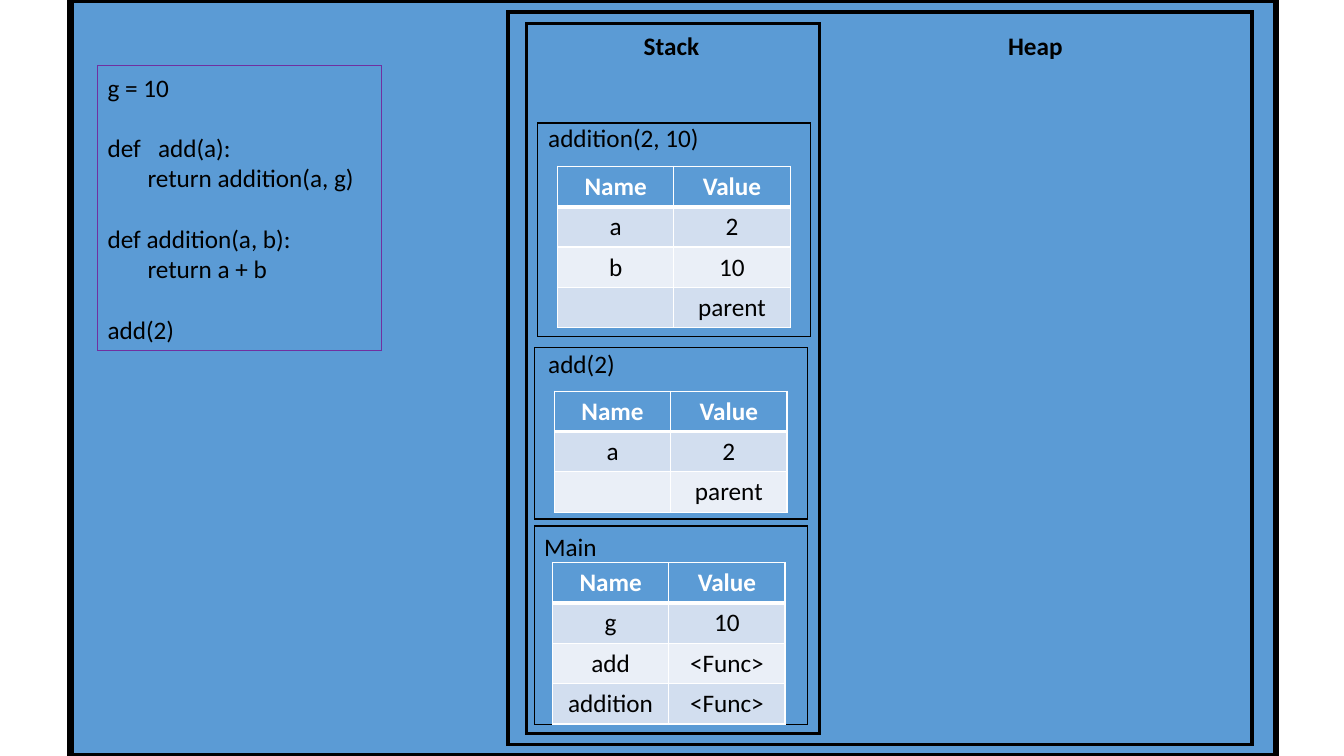
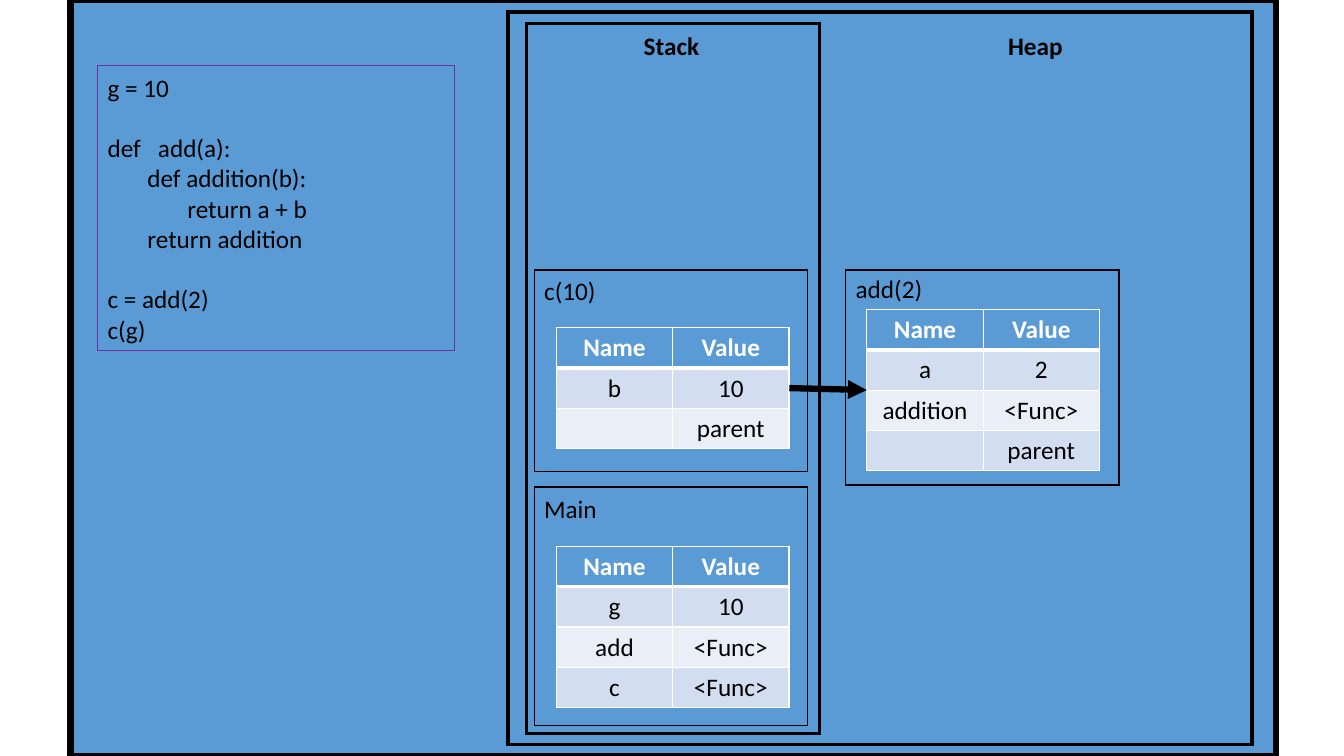
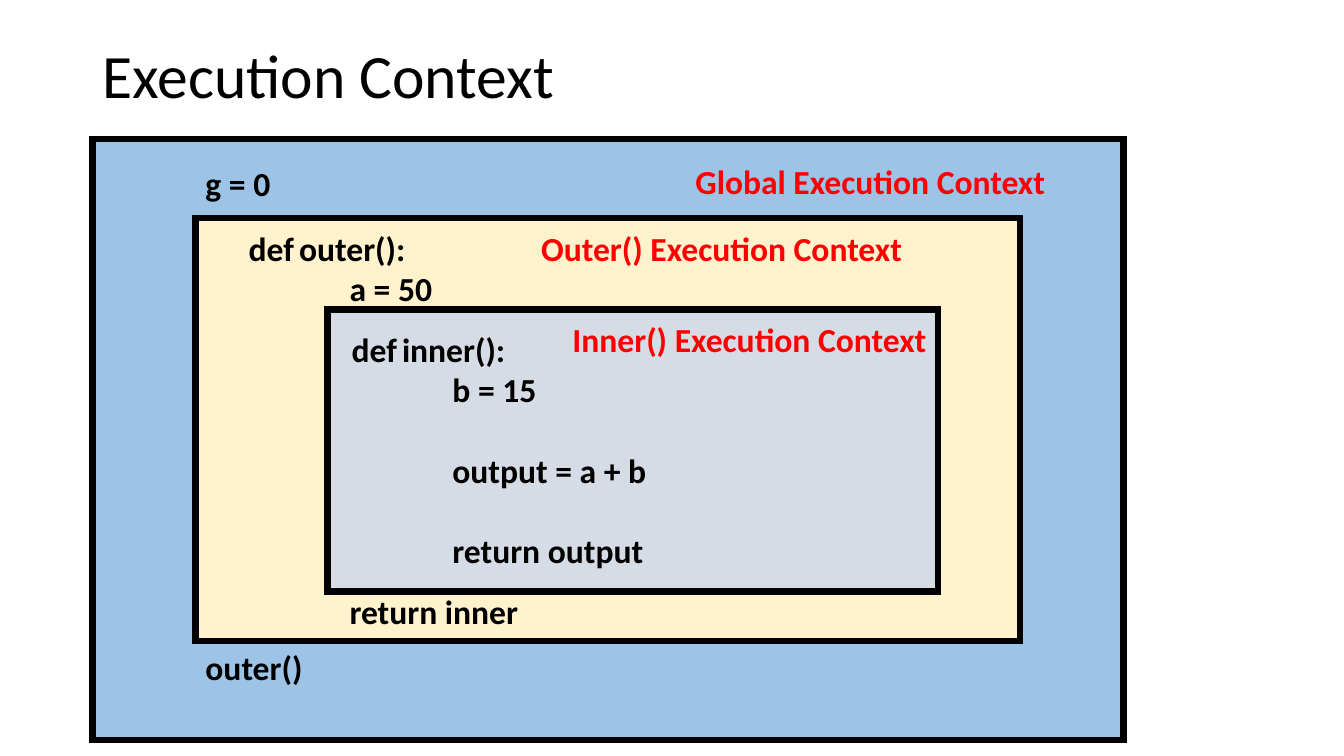
from dataclasses import dataclass

from lxml import etree
from pptx import Presentation
from pptx.dml.color import RGBColor
from pptx.enum.shapes import MSO_CONNECTOR, MSO_SHAPE
from pptx.enum.text import MSO_ANCHOR, MSO_AUTO_SIZE, PP_ALIGN
from pptx.oxml.ns import qn
from pptx.util import Pt


# Theme: colours, type sizes and line widths
@dataclass(frozen=True)
class Theme:
    font: str = "Calibri"
    black: str = "000000"
    white: str = "FFFFFF"
    blue: str = "5B9BD5"
    purple: str = "7030A0"
    red: str = "FF0000"
    bands: tuple = ("D2DEEF", "EAEFF7")
    global_fill: str = "9DC3E6"
    outer_fill: str = "FFF2CC"
    inner_fill: str = "D6DCE5"
    title: int = 44
    large: int = 24
    text: int = 18
    heavy: float = 4.5
    medium: float = 2.25
    thin: float = 1
    hairline: float = 0.75
    leading: float = 1.2


T = Theme()
FRAME_W = 195.1
COLUMN_W, ROW_H = 83.1, 28.8
HEADER = ("Name", "Value")
STACK_X = 381.6


# Text
def rgb(value):
    return RGBColor.from_string(value)


def write(paragraph, text, size=T.text, color=T.black, bold=False):
    run = paragraph.add_run()
    run.text = text
    run.font.name, run.font.size, run.font.bold = T.font, Pt(size), bold
    run.font.color.rgb = rgb(color)


def label(slide, text, x, y, w=134, size=T.text, color=T.black, bold=False,
          align=PP_ALIGN.LEFT):
    box = slide.shapes.add_textbox(Pt(x), Pt(y), Pt(w), Pt(size * T.leading + 7.2))
    box.text_frame.word_wrap = True
    paragraph = box.text_frame.paragraphs[0]
    paragraph.alignment = align
    write(paragraph, text, size, color, bold)


def write_code(frame, lines, size, step, name_stop, bold=False):
    """Each line is (indent level, empty lines above, text)."""
    frame.word_wrap = True
    for number, (level, gap, text) in enumerate(lines):
        paragraph = frame.add_paragraph() if number else frame.paragraphs[0]
        paragraph.alignment = PP_ALIGN.LEFT
        paragraph.space_before = Pt(gap * size * T.leading)
        props = paragraph._p.get_or_add_pPr()
        props.set("marL", str(Pt(level * step)))
        props.set("indent", "0")
        if "\t" in text:
            tabs = etree.SubElement(props, qn("a:tabLst"))
            etree.SubElement(tabs, qn("a:tab"), pos=str(Pt(name_stop)), algn="l")
        write(paragraph, text, size, bold=bold)


def code_text(slide, lines, x, y, w, h):
    box = slide.shapes.add_textbox(Pt(x), Pt(y), Pt(w), Pt(h))
    write_code(box.text_frame, lines, T.large, step=72, name_stop=49, bold=True)


# Shapes
def panel(slide, x, y, w, h, fill=T.blue, line=T.black, width=T.heavy):
    shape = slide.shapes.add_shape(MSO_SHAPE.RECTANGLE, Pt(x), Pt(y), Pt(w), Pt(h))
    shape.shadow.inherit = False
    if fill:
        shape.fill.solid()
        shape.fill.fore_color.rgb = rgb(fill)
    else:
        shape.fill.background()
    shape.line.color.rgb = rgb(line)
    shape.line.width = Pt(width)
    outline = shape._element.spPr.find(qn("a:ln"))
    etree.SubElement(outline, qn("a:miter"), lim="800000")
    return shape


def code_panel(slide, lines, w):
    shape = panel(slide, 69.8, 46.8, w, 203.8, None, T.purple, T.hairline)
    shape.text_frame.vertical_anchor = MSO_ANCHOR.MIDDLE
    write_code(shape.text_frame, lines, T.text, step=28.5, name_stop=32)


def arrow(slide, x1, y1, x2, y2):
    link = slide.shapes.add_connector(MSO_CONNECTOR.STRAIGHT, Pt(x1), Pt(y1), Pt(x2), Pt(y2))
    link.line.color.rgb = rgb(T.black)
    link.line.width = Pt(T.heavy)
    props = link._element.spPr
    etree.SubElement(props.find(qn("a:ln")), qn("a:tailEnd"), type="triangle")
    etree.SubElement(props, qn("a:effectLst"))


# Tables of names and values
def border(cell, side, width):
    line = etree.SubElement(cell._tc.get_or_add_tcPr(), qn("a:ln" + side), w=str(Pt(width)))
    fill = etree.SubElement(line, qn("a:solidFill"))
    etree.SubElement(fill, qn("a:srgbClr"), val=T.white)


def variables(slide, x, y, rows):
    rows = [HEADER, *rows]
    table = slide.shapes.add_table(len(rows), 2, Pt(x), Pt(y), Pt(2 * COLUMN_W),
                                   Pt(ROW_H * len(rows))).table
    for column in table.columns:
        column.width = Pt(COLUMN_W)
    for r, row in enumerate(rows):
        for c, text in enumerate(row):
            cell = table.cell(r, c)
            for side in "LRTB":
                below_header = (r, side) in ((0, "B"), (1, "T"))
                border(cell, side, 3 if below_header else T.thin)
            cell.fill.solid()
            cell.fill.fore_color.rgb = rgb(T.bands[(r - 1) % 2] if r else T.blue)
            paragraph = cell.text_frame.paragraphs[0]
            paragraph.alignment = PP_ALIGN.CENTER
            if text:
                write(paragraph, text, color=T.black if r else T.white, bold=r == 0)


def call_frame(slide, name, x, y, h, name_at, table_at, rows):
    panel(slide, x, y, FRAME_W, h, width=T.thin)
    label(slide, name, *name_at)
    variables(slide, *table_at, rows)


# Slides
def memory_slide(prs, code, code_w):
    slide = prs.slides.add_slide(prs.slide_layouts[6])
    panel(slide, 50.4, 0, 861, 540)
    code_panel(slide, code, code_w)
    panel(slide, 362.9, 8.6, 531.4, 523.4, width=T.medium)
    panel(slide, 375.8, 16.6, 209.5, 507.6, width=T.medium)
    for name, x in (("Stack", 412.6), ("Heap", 672.5)):
        label(slide, name, x, 18, bold=True, align=PP_ALIGN.CENTER)
    return slide


def nested_calls(prs):
    slide = memory_slide(prs, [
        (0, 0, "g = 10"),
        (0, 1, "def\tadd(a):"),
        (1, 0, "return addition(a, g)"),
        (0, 1, "def addition(a, b):"),
        (1, 0, "return a + b"),
        (0, 1, "add(2)"),
    ], 203)
    call_frame(slide, "Main", STACK_X, 375.8, 141.8, (381.6, 375.8), (394.6, 401.8),
               [("g", "10"), ("add", "<Func>"), ("addition", "<Func>")])
    call_frame(slide, "add(2)", STACK_X, 248.4, 122.4, (384.5, 245.5), (396, 279.4),
               [("a", "2"), ("", "parent")])
    call_frame(slide, "addition(2, 10)", 383.8, 87.8, 152.6, (384.5, 84.2), (398.2, 118.8),
               [("a", "2"), ("b", "10"), ("", "parent")])


def closure(prs):
    slide = memory_slide(prs, [
        (0, 0, "g = 10"),
        (0, 1, "def\tadd(a):"),
        (1, 0, "def addition(b):"),
        (2, 0, "return a + b"),
        (1, 0, "return addition"),
        (0, 1, "c = add(2)"),
        (0, 0, "c(g)"),
    ], 255)
    call_frame(slide, "Main", STACK_X, 347.8, 170.6, (381.6, 348.5), (397.4, 390.2),
               [("g", "10"), ("add", "<Func>"), ("c", "<Func>")])
    call_frame(slide, "add(2)", 604.1, 193, 153.4, (604.1, 191.5), (619.2, 221),
               [("a", "2"), ("addition", "<Func>"), ("", "parent")])
    call_frame(slide, "c(10)", STACK_X, 193, 144, (381.6, 193), (397.4, 234),
               [("b", "10"), ("", "parent")])
    arrow(slide, 563.8, 277.2, 619.2, 278.6)


def execution_context(prs):
    slide = prs.slides.add_slide(prs.slide_layouts[5])
    title = slide.shapes.title
    title.left, title.top, title.width, title.height = Pt(66), Pt(28.8), Pt(828), Pt(104.4)
    title.text_frame.vertical_anchor = MSO_ANCHOR.TOP
    title.text_frame.auto_size = MSO_AUTO_SIZE.NONE
    heading = title.text_frame.paragraphs[0]
    heading.alignment = PP_ALIGN.LEFT
    heading.line_spacing = 0.9
    write(heading, "Execution Context", T.title)

    # Nested scopes
    panel(slide, 66, 99.4, 736.6, 429.1, T.global_fill)
    panel(slide, 139.7, 155.5, 589, 302.4, T.outer_fill)
    panel(slide, 234, 221, 436.3, 201.6, T.inner_fill)

    # Code of each scope
    code_text(slide, [(0, 0, "g = 0"), (0, 11, "outer()")], 139.7, 113, 336.2, 385.2)
    code_text(slide, [(0, 0, "def\touter():"), (1, 0, "a = 50"), (1, 7, "return inner")],
              170.6, 159.1, 319.7, 298.1)
    code_text(slide, [(0, 0, "def\tinner():"), (1, 0, "b = 15"),
                      (1, 1, "output = a + b"), (1, 1, "return output")],
              244.1, 231.1, 357.1, 181.4)

    # Scope names
    for scope, x, y, w in (("Outer()", 379.4, 159.1, 373), ("Global", 489.6, 111.6, 298.8),
                           ("Inner()", 401.8, 224.6, 373)):
        label(slide, scope + " Execution Context", x, y, w, T.large, T.red, bold=True)


def main():
    prs = Presentation()
    prs.slide_width, prs.slide_height = Pt(960), Pt(540)
    nested_calls(prs)
    closure(prs)
    execution_context(prs)
    prs.save("out.pptx")


main()
